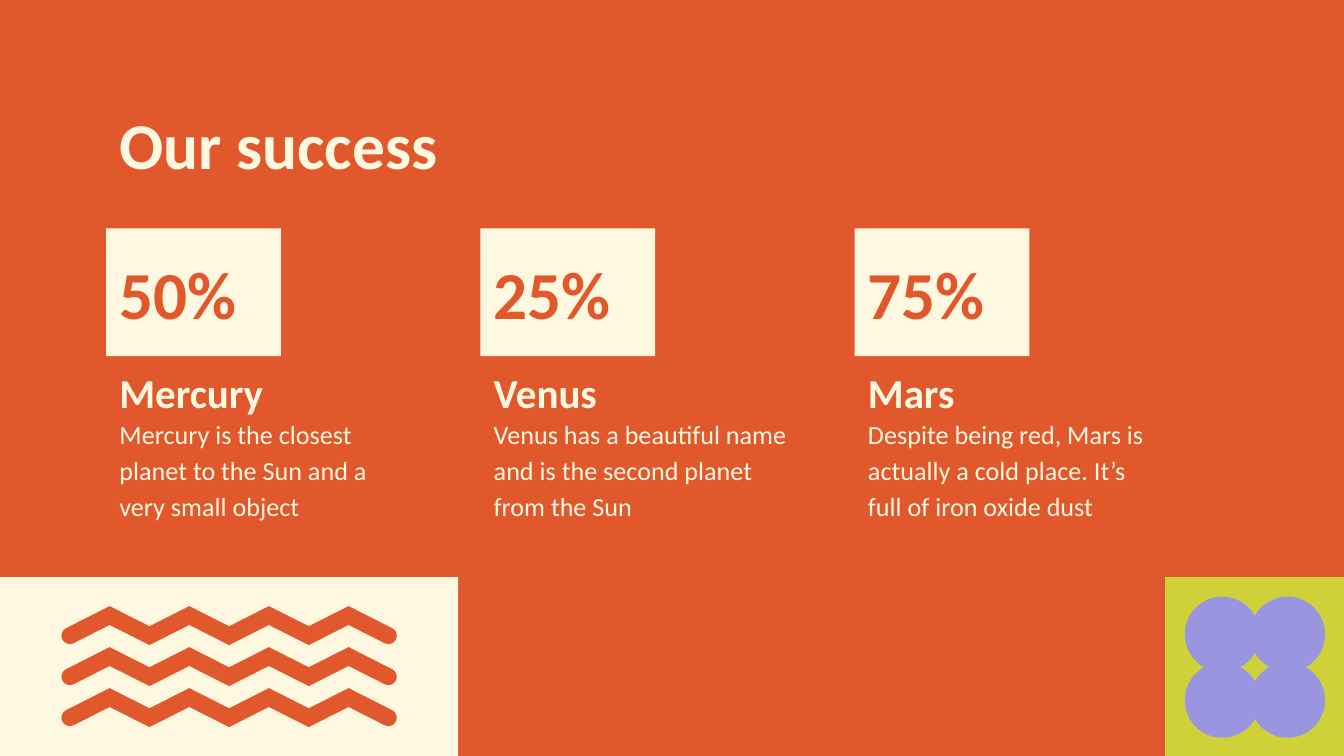
from dataclasses import dataclass
from itertools import product

from pptx import Presentation, util as u
from pptx.dml.color import RGBColor
from pptx.enum import shapes, text
from pptx.oxml import parse_xml
from pptx.oxml.ns import nsdecls
from pptx.shapes.autoshape import Shape
from pptx.slide import Slide


@dataclass(frozen=True)
class Theme:
    font: str = "Calibri"
    orange: str = "E1582C"
    cream: str = "FFF8E1"
    lime: str = "CFD139"
    violet: str = "9A95E1"
    title: int = 35
    figure: int = 36
    heading: int = 22
    body: int = 14
    zigzag: int = 9


@dataclass(frozen=True)
class Area:
    """Grid columns and rows: left, top, width, height."""
    left: float
    top: float
    width: float
    height: float

    def lengths(self) -> list[int]:
        return [grid(n) for n in (self.left, self.top, self.width, self.height)]


@dataclass(frozen=True)
class Result:
    figure: str
    planet: str
    detail: str


THEME = Theme()
PAGE_WIDTH = u.Inches(10)
PAGE_HEIGHT = PAGE_WIDTH * 9 // 16
COLUMNS = 100  # square grid cells across the page
ROWS = COLUMNS * 9 / 16
MARGIN = 7.9
RESULT_STEP = 27.85
BAND = 13.3  # height of the decorated tiles at the foot

RESULTS = (
    Result("50%", "Mercury",
           "Mercury is the closest planet to the Sun and a very small object"),
    Result("25%", "Venus",
           "Venus has a beautiful name and is the second planet from the Sun"),
    Result("75%", "Mars",
           "Despite being red, Mars is actually a cold place. It’s full of iron oxide dust"),
)


def grid(cells: float) -> int:
    return round(PAGE_WIDTH * cells / COLUMNS)


def color(value: str) -> RGBColor:
    return RGBColor.from_string(value)


def add_filled(page: Slide, kind: shapes.MSO_SHAPE, area: Area, fill: str) -> Shape:
    shape = page.shapes.add_shape(kind, *area.lengths())
    shape.shadow.inherit = False
    shape.fill.solid()
    shape.fill.fore_color.rgb = color(fill)
    shape.line.fill.background()
    return shape


def write(box: Shape, words: str, *, size: int, ink: str = THEME.cream,
          bold: bool = False, anchor: text.MSO_ANCHOR = text.MSO_ANCHOR.TOP,
          spacing: float = 1.15) -> None:
    frame = box.text_frame
    frame.word_wrap = True
    frame.vertical_anchor = anchor
    frame.margin_left = frame.margin_right = grid(1)
    frame.margin_top = frame.margin_bottom = grid(1)
    para = frame.paragraphs[0]
    para.alignment = text.PP_ALIGN.LEFT
    para.line_spacing = spacing
    span = para.add_run()
    span.text = words
    span.font.name = THEME.font
    span.font.size = u.Pt(size)
    span.font.bold = bold
    span.font.color.rgb = color(ink)


def add_text(page: Slide, area: Area, words: str, **style) -> None:
    write(page.shapes.add_textbox(*area.lengths()), words, **style)


def add_result(page: Slide, left: float, result: Result) -> None:
    add_text(page, Area(left, 29.8, 23.8, 9.5), result.detail, size=THEME.body)
    tile = add_filled(page, shapes.MSO_SHAPE.RECTANGLE,
                      Area(left, 17, 13, 9.5), THEME.cream)
    write(tile, result.figure, size=THEME.figure, ink=THEME.orange, bold=True,
          anchor=text.MSO_ANCHOR.MIDDLE, spacing=1.0)
    add_text(page, Area(left, 27.3, 23.8, 4.7), result.planet, size=THEME.heading,
             bold=True, anchor=text.MSO_ANCHOR.BOTTOM)


def add_zigzag(page: Slide, area: Area, strokes: int = 8) -> None:
    points = [(grid(area.left + area.width * i / strokes),
               grid(area.top + area.height * (1 - i % 2)))
              for i in range(strokes + 1)]
    builder = page.shapes.build_freeform(*points[0])
    builder.add_line_segments(points[1:], close=False)
    zigzag = builder.convert_to_shape()
    zigzag.shadow.inherit = False
    zigzag.fill.background()
    zigzag.line.color.rgb = color(THEME.orange)
    zigzag.line.width = u.Pt(THEME.zigzag)
    # Round ends with sharp corners
    outline = zigzag.line._get_or_add_ln()
    outline.set("cap", "rnd")
    outline.append(parse_xml(f'<a:miter {nsdecls("a")} lim="800000"/>'))


def main() -> None:
    deck = Presentation()
    deck.slide_width, deck.slide_height = PAGE_WIDTH, PAGE_HEIGHT
    page = deck.slides.add_slide(deck.slide_layouts[6])
    page.background.fill.solid()
    page.background.fill.fore_color.rgb = color(THEME.orange)

    # Title and results
    add_text(page, Area(MARGIN, 5.9, 84.3, 6.3), "Our success",
             size=THEME.title, bold=True)
    for index, result in enumerate(RESULTS):
        add_result(page, MARGIN + index * RESULT_STEP, result)

    # Zigzag tile
    band_top = ROWS - BAND
    add_filled(page, shapes.MSO_SHAPE.RECTANGLE,
               Area(0, band_top, 34.1, BAND), THEME.cream)
    for index in range(3):
        add_zigzag(page, Area(5.2, 45.8 + index * 3.05, 23.7, 1.5))

    # Flower tile
    tile_left = COLUMNS - BAND
    add_filled(page, shapes.MSO_SHAPE.RECTANGLE,
               Area(tile_left, band_top, BAND, BAND), THEME.lime)
    for row, column in product(range(2), repeat=2):
        add_filled(page, shapes.MSO_SHAPE.OVAL,
                   Area(tile_left + 1.45 + column * 4.85,
                        band_top + 1.45 + row * 4.9, 5.6, 5.6), THEME.violet)

    deck.save("out.pptx")


if __name__ == "__main__":
    main()
